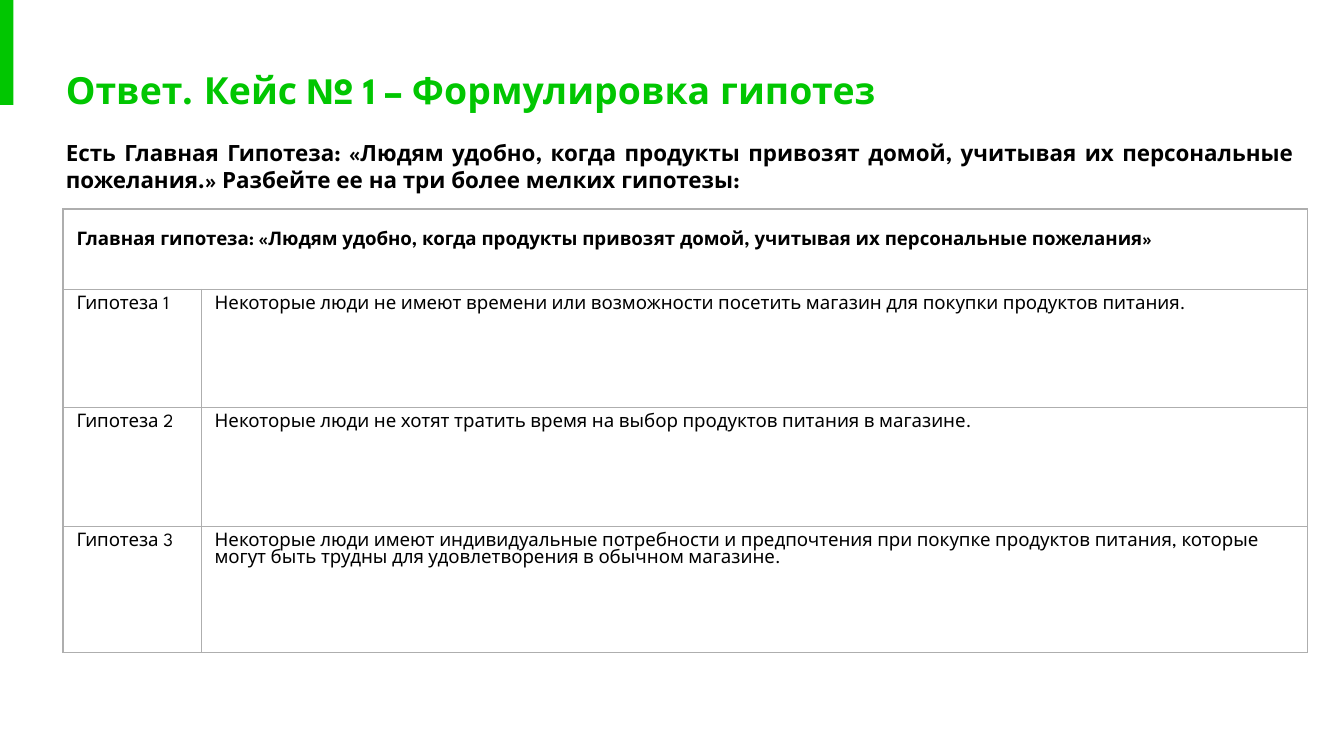
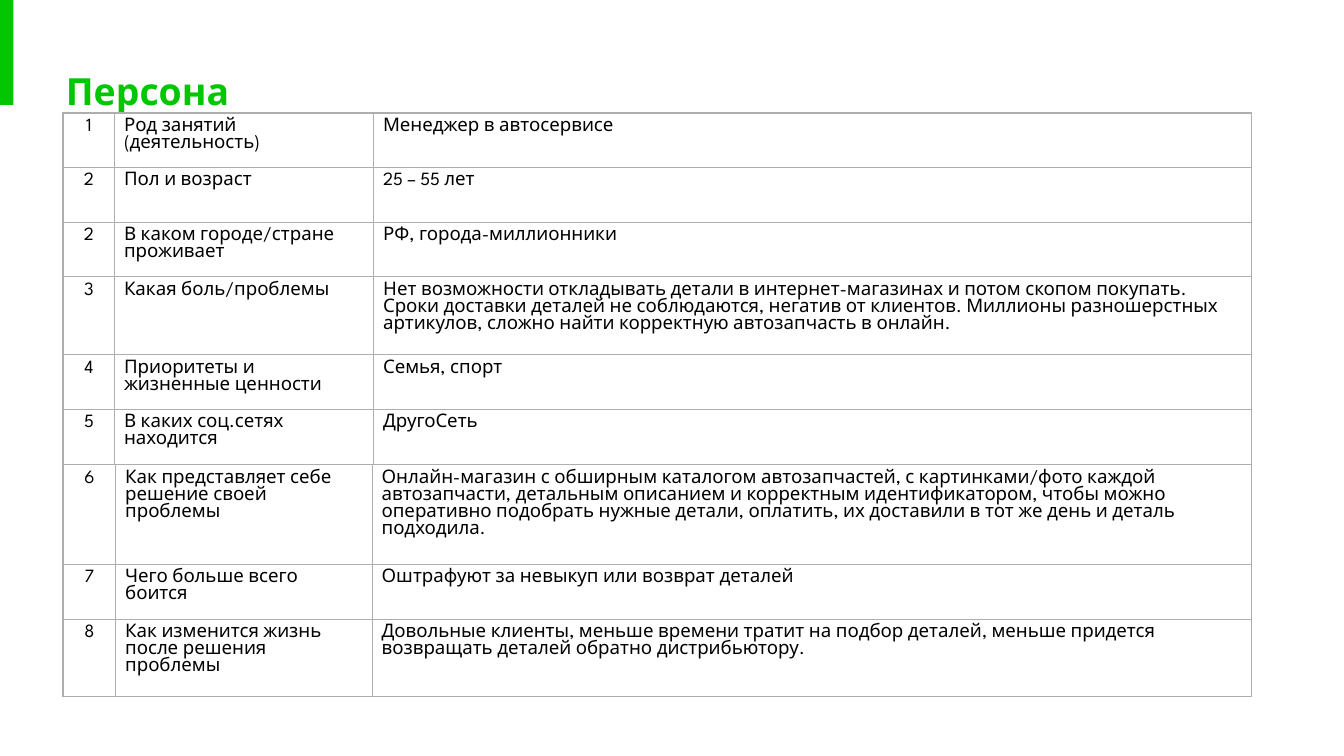
from dataclasses import dataclass

from lxml import etree
from pptx import Presentation
from pptx.dml.color import RGBColor
from pptx.enum.shapes import MSO_SHAPE
from pptx.enum.text import MSO_ANCHOR, MSO_AUTO_SIZE, PP_ALIGN
from pptx.oxml.ns import qn
from pptx.util import Pt

RECT = MSO_SHAPE.RECTANGLE
TOP, MIDDLE = MSO_ANCHOR.TOP, MSO_ANCHOR.MIDDLE
FIXED = MSO_AUTO_SIZE.NONE
LEFT, CENTER, JUSTIFY = PP_ALIGN.LEFT, PP_ALIGN.CENTER, PP_ALIGN.JUSTIFY


@dataclass(frozen=True)
class Theme:
    font: str = "League Spartan"
    green: RGBColor = RGBColor(0x01, 0xC6, 0x01)
    black: RGBColor = RGBColor(0, 0, 0)
    grid: str = "AEAEAE"
    title: float = 20
    lead: float = 12
    cell: float = 10


@dataclass(frozen=True)
class Box:
    left: float
    top: float
    width: float
    height: float


@dataclass(frozen=True)
class Grid:
    """A table: place, column widths, row heights, cell insets, texts."""
    top: float
    cols: tuple[float, ...]
    rows: tuple[float, ...]
    side: float
    edge: float
    texts: tuple[tuple[str, ...], ...]
    left: float = 33.8


THEME = Theme()
INSET = 7.2
LINE = 0.75
TITLE_H = 38.9

# Slide texts
LEAD = ("Есть Главная Гипотеза: «Людям удобно, когда продукты привозят домой, учитывая "
        "их персональные пожелания.» Разбейте ее на три более мелких гипотезы:")

CASE = Grid(111.9, (74, 592.5), (43.2, 63.4, 63.6, 67.6), 7.2, 3.6, (
    ("Главная гипотеза: «Людям удобно, когда продукты привозят домой, "
     "учитывая их персональные пожелания»",),
    ("Гипотеза 1", "Некоторые люди не имеют времени или возможности посетить магазин "
     "для покупки продуктов питания."),
    ("Гипотеза 2", "Некоторые люди не хотят тратить время на выбор продуктов питания "
     "в магазине."),
    ("Гипотеза 3", "Некоторые люди имеют индивидуальные потребности и предпочтения при "
     "покупке продуктов питания, которые могут быть трудны для удовлетворения "
     "в обычном магазине."),
))

PERSONA = Grid(60.5, (27.7, 138.8, 470), (29.3, 29.3, 29.3, 41.8, 29.3, 29.3), 5, 2.9, (
    ("1", "Род занятий (деятельность)", "Менеджер в автосервисе"),
    ("2", "Пол и возраст", "25 – 55 лет"),
    ("2", "В каком городе/стране проживает", "РФ, города-миллионники"),
    ("3", "Какая боль/проблемы", "Нет возможности откладывать детали в "
     "интернет-магазинах и потом скопом покупать. Сроки доставки деталей не "
     "соблюдаются, негатив от клиентов. Миллионы разношерстных артикулов, сложно "
     "найти корректную автозапчасть в онлайн."),
    ("4", "Приоритеты и жизненные ценности", "Семья, спорт"),
    ("5", "В каких соц.сетях находится", "ДругоСеть"),
))

HOPES = Grid(248.9, (28.3, 137.4, 470.8), (53.5, 29.4, 41.4), 5, 2.9, (
    ("6", "Как представляет себе решение своей проблемы", "Онлайн-магазин с обширным "
     "каталогом автозапчастей, с картинками/фото каждой автозапчасти, детальным "
     "описанием и корректным идентификатором, чтобы можно оперативно подобрать нужные "
     "детали, оплатить, их доставили в тот же день и деталь подходила."),
    ("7", "Чего больше всего боится", "Оштрафуют за невыкуп или возврат деталей"),
    ("8", "Как изменится жизнь после решения проблемы", "Довольные клиенты, меньше "
     "времени тратит на подбор деталей, меньше придется возвращать деталей обратно "
     "дистрибьютору."),
))


def style(para, size: float, color: RGBColor, bold: bool, align) -> None:
    para.alignment = align
    font = para.font
    font.name, font.size, font.bold = THEME.font, Pt(size), bold
    font.color.rgb = color


def fill_holder(holder, box: Box, text: str, anchor, foot: float = INSET):
    """Move a placeholder, set its frame and text, and return the paragraph."""
    holder.left, holder.top = Pt(box.left), Pt(box.top)
    holder.width, holder.height = Pt(box.width), Pt(box.height)
    frame = holder.text_frame
    frame.text = text
    frame.word_wrap, frame.auto_size = True, FIXED
    frame.vertical_anchor = anchor
    frame.margin_left = frame.margin_right = frame.margin_top = Pt(INSET)
    frame.margin_bottom = Pt(foot)
    return frame.paragraphs[0]


def start(deck, layout: int, title: str, width: float, height: float):
    """Add a slide with the green bar and the title on the shared line."""
    slide = deck.slides.add_slide(deck.slide_layouts[layout])
    bar = slide.shapes.add_shape(RECT, 0, 0, Pt(7.2), Pt(56.2))
    bar.shadow.inherit = False
    bar.fill.solid()
    bar.fill.fore_color.rgb = THEME.green
    bar.line.fill.background()
    para = fill_holder(slide.shapes.title, Box(28.1, 28.8, width, height), title,
                       MIDDLE, INSET + height - TITLE_H)
    style(para, THEME.title, THEME.green, True, LEFT)
    return slide


def add_lead(slide, box: Box, text: str) -> None:
    para = fill_holder(slide.placeholders[1], box, text, TOP)
    style(para, THEME.lead, THEME.black, True, JUSTIFY)
    para.space_before = Pt(0)
    para.line_spacing = Pt(14.2)
    props = para._p.get_or_add_pPr()
    props.set("marL", "0")
    props.set("indent", "0")
    etree.SubElement(props, qn("a:buNone"))


def add_border(cell) -> None:
    props = cell._tc.get_or_add_tcPr()
    for spot, side in enumerate(("lnL", "lnR", "lnT", "lnB")):
        line = etree.Element(qn(f"a:{side}"), w=str(Pt(LINE)))
        fill = etree.SubElement(line, qn("a:solidFill"))
        etree.SubElement(fill, qn("a:srgbClr"), val=THEME.grid)
        props.insert(spot, line)


def add_grid(slide, grid: Grid):
    table = slide.shapes.add_table(
        len(grid.rows), len(grid.cols), Pt(grid.left), Pt(grid.top),
        Pt(sum(grid.cols)), Pt(sum(grid.rows))).table
    table.first_row = table.horz_banding = False
    for col, width in zip(table.columns, grid.cols):
        col.width = Pt(width)
    for row, height, texts in zip(table.rows, grid.rows, grid.texts):
        row.height = Pt(height)
        for cell in row.cells:
            cell.fill.background()
            add_border(cell)
            cell.margin_left = cell.margin_right = Pt(grid.side)
            cell.margin_top = cell.margin_bottom = Pt(grid.edge)
        for cell, text in zip(row.cells, texts):
            cell.text = text
            style(cell.text_frame.paragraphs[0], THEME.cell, THEME.black, False,
                  CENTER if text.isdigit() else LEFT)
    return table


def build_case(deck) -> None:
    slide = start(deck, 1, "Ответ. Кейс № 1 – Формулировка гипотез", 612.7, TITLE_H)
    add_lead(slide, Box(28.1, 67.7, 672.5, 43.9), LEAD)
    table = add_grid(slide, CASE)
    # Heading row spans the table and sits one line lower
    head = table.cell(0, 0)
    head.merge(table.cell(0, 1))
    head.margin_top = Pt(CASE.edge + 9.2)
    head.text_frame.paragraphs[0].font.bold = True


def build_persona(deck) -> None:
    slide = start(deck, 5, "Персона", 437, 63.4)
    for grid in (PERSONA, HOPES):
        add_grid(slide, grid)


def main() -> None:
    deck = Presentation()
    deck.slide_width, deck.slide_height = Pt(720), Pt(405)
    build_case(deck)
    build_persona(deck)
    deck.save("out.pptx")


if __name__ == "__main__":
    main()
